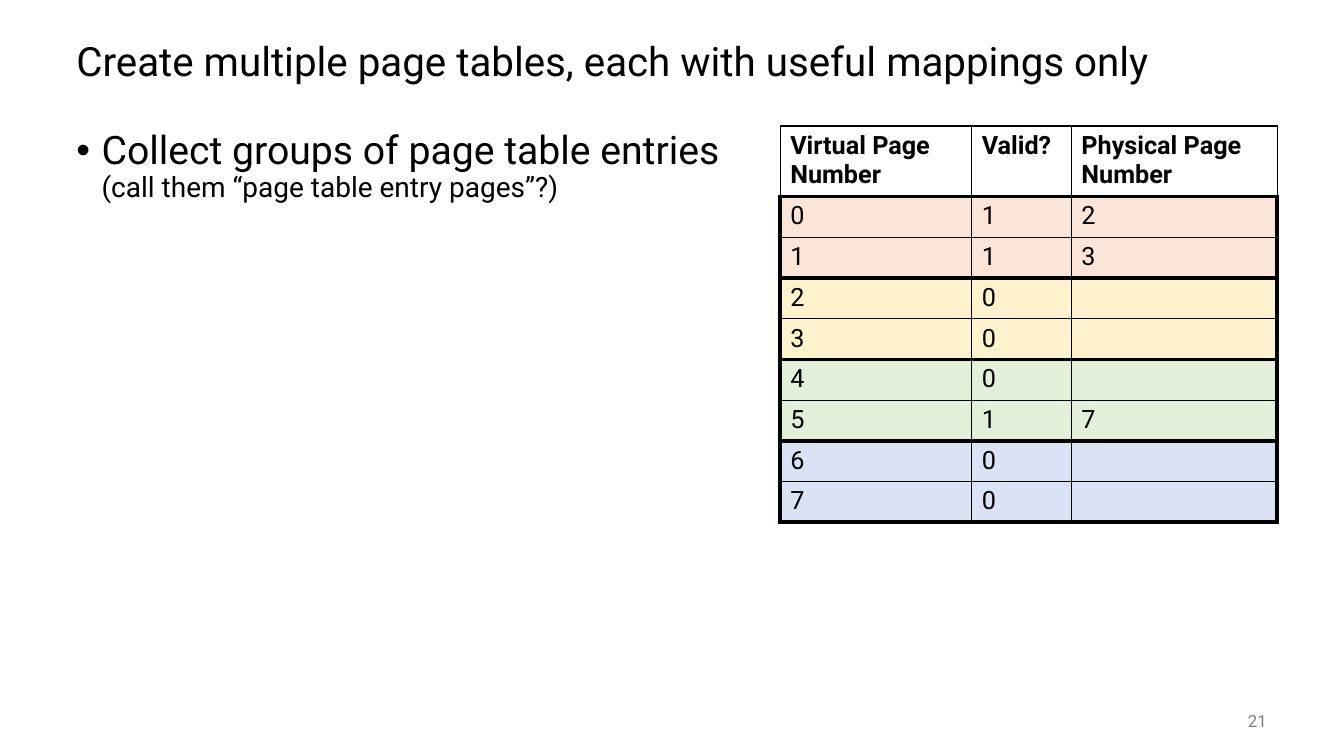
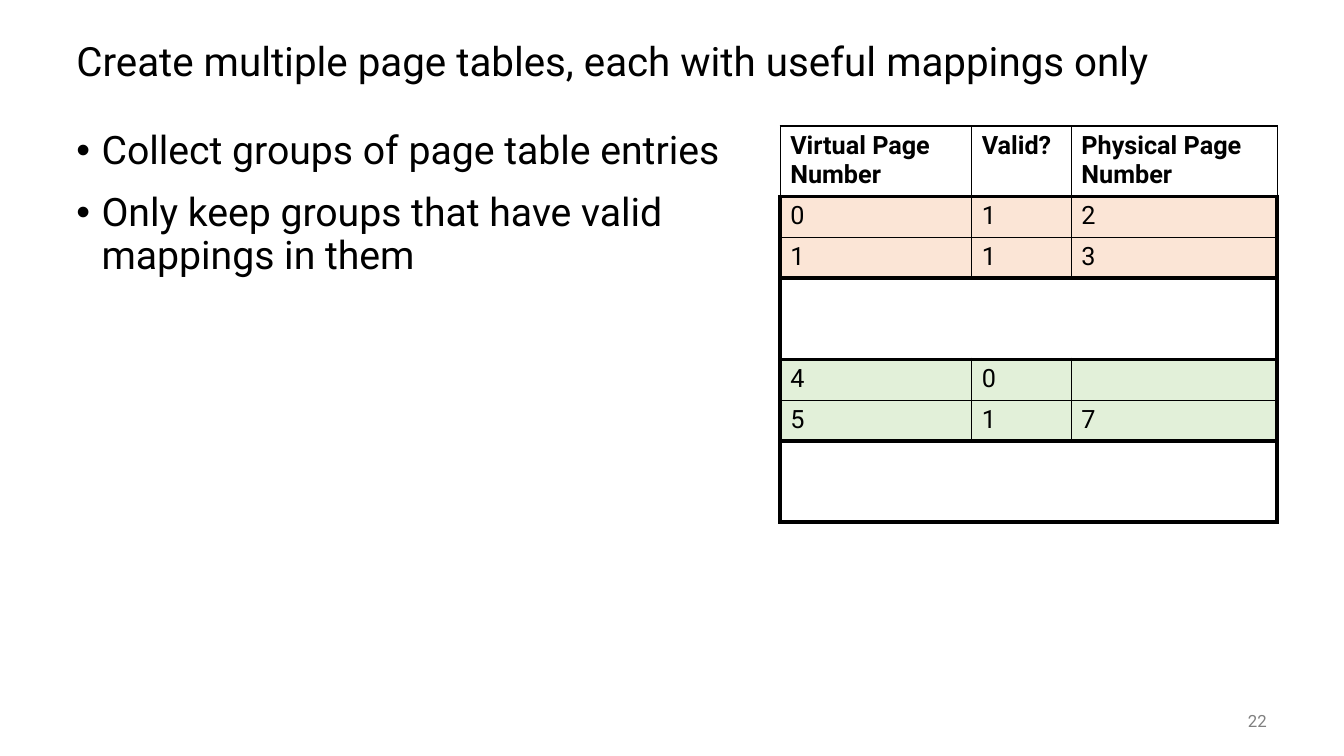
"""Build two slides about grouping page table entries."""
from lxml import etree
from pptx import Presentation
from pptx.dml.color import RGBColor
from pptx.enum.text import MSO_ANCHOR, PP_ALIGN
from pptx.oxml.ns import qn
from pptx.util import Pt

TOP, MIDDLE = MSO_ANCHOR.TOP, MSO_ANCHOR.MIDDLE
LEFT, RIGHT = PP_ALIGN.LEFT, PP_ALIGN.RIGHT

FONT = "Roboto"
COLORS = {
    "text": "000000", "number": "808080", "border": "000000", "empty": "FFFFFF",
    "orange": "FBE5D6", "yellow": "FFF2CC", "green": "E2F0D9", "blue": "DAE3F3",
}

TITLE = "Create multiple page tables, each with useful mappings only"
HEADER = ("Virtual Page Number", "Valid?", "Physical Page Number")
GROUPS = [
    ("orange", [("0", "1", "2"), ("1", "1", "3")]),
    ("yellow", [("2", "0", ""), ("3", "0", "")]),
    ("green", [("4", "0", ""), ("5", "1", "7")]),
    ("blue", [("6", "0", ""), ("7", "0", "")]),
]
COLLECT = "Collect groups of page table entries"
SLIDES = [
    {
        "number": "21",
        "bullets": [[(COLLECT, 28), ("(call them “page table entry pages”?)", 20)]],
        "dropped": (),
    },
    {
        "number": "22",
        "bullets": [
            [(COLLECT, 28)],
            [("Only keep groups that have valid mappings in them", 28)],
        ],
        "dropped": ("yellow", "blue"),
    },
]

SLIDE_SIZE = (960, 540)
TITLE_BOX = (47.5, 18, 864, 54)
BODY_BOX = (47.5, 90, 499, 396)
NUMBER_BOX = (840, 500.4, 72, 28.8)
TABLE_ORIGIN = (557.3, 90)
COLUMN_WIDTHS = (136.8, 71.2, 147)
HEADER_HEIGHT, ROW_HEIGHT = 49.4, 29.1
THIN, THICK = 1, 3
INDENT, BULLET_GAP = 18, 14


def write(frame, paragraphs, *, color="text", bold=False, align=LEFT,
          anchor=TOP, spacing=1.0, gap=0, bullet=None):
    """Fill a text frame with paragraphs, each a list of (line, size) pairs."""
    frame.word_wrap = True
    frame.vertical_anchor = anchor
    for index, lines in enumerate(paragraphs):
        paragraph = frame.add_paragraph() if index else frame.paragraphs[0]
        paragraph.alignment = align
        paragraph.line_spacing = spacing
        paragraph.space_before = Pt(gap if index else 0)
        if bullet:
            properties = paragraph._p.get_or_add_pPr()
            properties.set("marL", str(Pt(INDENT)))
            properties.set("indent", str(-Pt(INDENT)))
            etree.SubElement(properties, qn("a:buFont"), typeface="Arial")
            etree.SubElement(properties, qn("a:buChar"), char=bullet)
        for line_index, (text, size) in enumerate(lines):
            if line_index:
                paragraph.add_line_break()
            run = paragraph.add_run()
            run.text = text
            run.font.name = FONT
            run.font.size = Pt(size)
            run.font.bold = bold
            run.font.color.rgb = RGBColor.from_string(COLORS[color])


def add_text(slide, box, paragraphs, **text_format):
    """Add a text box with formatted paragraphs."""
    shape = slide.shapes.add_textbox(*map(Pt, box))
    write(shape.text_frame, paragraphs, **text_format)


def set_borders(cell, left, right, top, bottom):
    """Set border widths in points, where zero hides the border."""
    properties = cell._tc.get_or_add_tcPr()
    for side, width in zip("LRTB", (left, right, top, bottom)):
        line = etree.SubElement(properties, qn(f"a:ln{side}"), w=str(Pt(width)))
        if width:
            fill = etree.SubElement(line, qn("a:solidFill"))
            etree.SubElement(fill, qn("a:srgbClr"), val=COLORS["border"])
        else:
            etree.SubElement(line, qn("a:noFill"))


def fill_cell(cell, text, color, borders, bold=False):
    """Give a cell its borders, fill and text."""
    set_borders(cell, *borders)
    cell.fill.solid()
    cell.fill.fore_color.rgb = RGBColor.from_string(COLORS[color])
    write(cell.text_frame, [[(text, 18)]], bold=bold)


def add_page_table(slide, dropped):
    """Add the page table, blanking the dropped groups."""
    heights = [HEADER_HEIGHT] + [ROW_HEIGHT] * sum(len(rows) for _, rows in GROUPS)
    size = (sum(COLUMN_WIDTHS), sum(heights))
    table = slide.shapes.add_table(
        len(heights), len(HEADER), *map(Pt, TABLE_ORIGIN + size)).table
    table.first_row = table.horz_banding = False
    for column, width in zip(table.columns, COLUMN_WIDTHS):
        column.width = Pt(width)
    for row, height in zip(table.rows, heights):
        row.height = Pt(height)

    for column, text in enumerate(HEADER):
        fill_cell(table.cell(0, column), text, "empty",
                  (THIN, THIN, THIN, THICK), bold=True)

    last_column = len(HEADER) - 1
    table_row = 1
    for color, rows in GROUPS:
        hidden = color in dropped
        inner = 0 if hidden else THIN
        for index, values in enumerate(rows):
            for column, value in enumerate(values):
                edges = (column == 0, column == last_column,
                         index == 0, index == len(rows) - 1)
                fill_cell(table.cell(table_row, column),
                          "" if hidden else value,
                          "empty" if hidden else color,
                          [THICK if edge else inner for edge in edges])
            table_row += 1


def main():
    """Build and save the presentation."""
    presentation = Presentation()
    presentation.slide_width, presentation.slide_height = map(Pt, SLIDE_SIZE)
    for content in SLIDES:
        slide = presentation.slides.add_slide(presentation.slide_layouts[6])
        add_text(slide, TITLE_BOX, [[(TITLE, 28.8)]], anchor=MIDDLE, spacing=0.9)
        add_text(slide, NUMBER_BOX, [[(content["number"], 12)]],
                 color="number", align=RIGHT, anchor=MIDDLE)
        add_page_table(slide, content["dropped"])
        add_text(slide, BODY_BOX, content["bullets"],
                 spacing=0.9, gap=BULLET_GAP, bullet="•")
    presentation.save("out.pptx")


if __name__ == "__main__":
    main()
